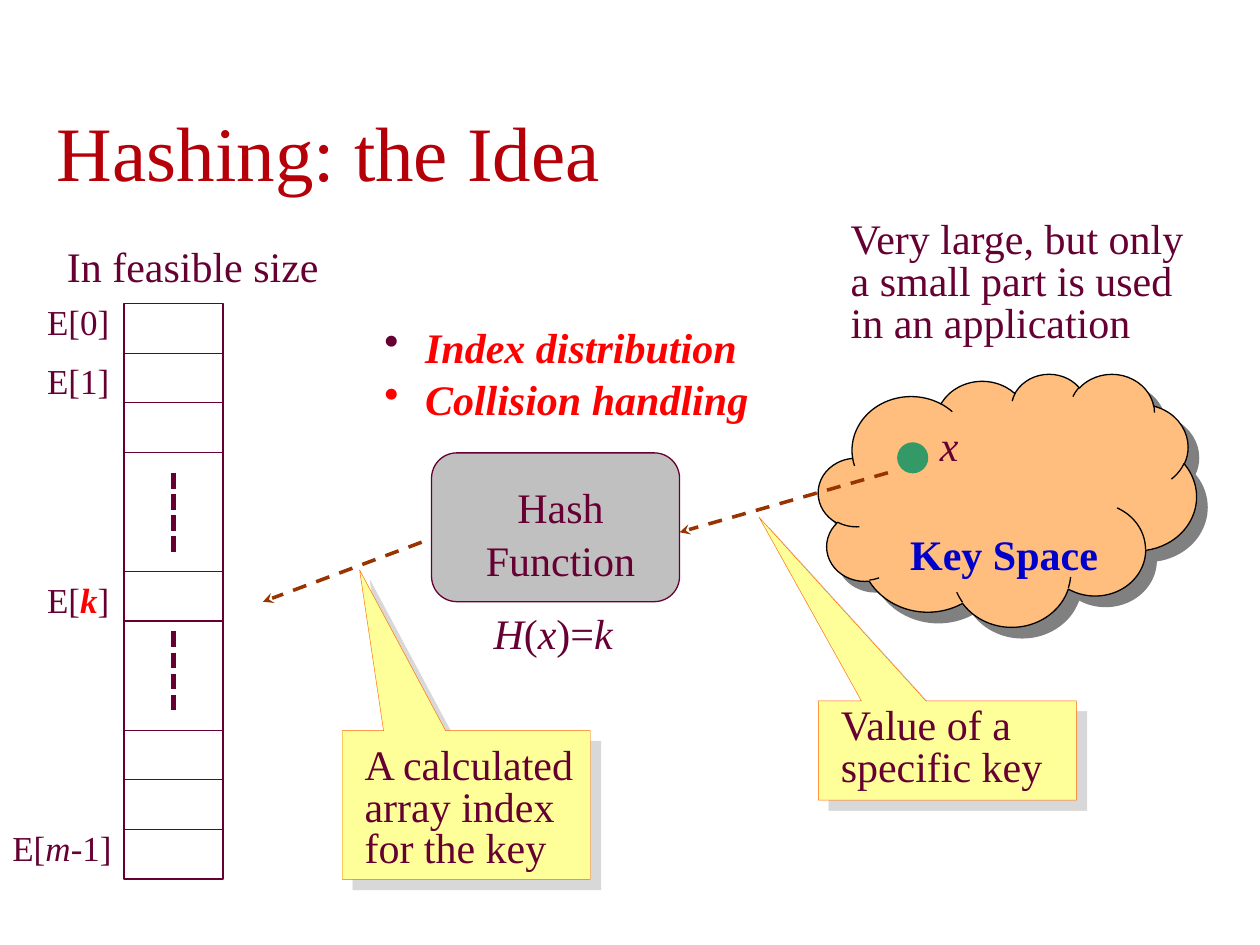
from itertools import accumulate

from lxml import etree
from pptx import Presentation
from pptx.dml.color import RGBColor
from pptx.enum.dml import MSO_LINE
from pptx.enum.shapes import MSO_CONNECTOR, MSO_SHAPE
from pptx.enum.text import MSO_ANCHOR, PP_ALIGN
from pptx.oxml.ns import qn
from pptx.util import Cm, Pt

STRAIGHT = MSO_CONNECTOR.STRAIGHT
DASH, DOTS = MSO_LINE.DASH, MSO_LINE.SQUARE_DOT
LEFT, CENTER = PP_ALIGN.LEFT, PP_ALIGN.CENTER
TOP, BOTTOM = MSO_ANCHOR.TOP, MSO_ANCHOR.BOTTOM
CALLOUT, CLOUD = MSO_SHAPE.RECTANGULAR_CALLOUT, MSO_SHAPE.CLOUD
RECT, ROUND, OVAL = MSO_SHAPE.RECTANGLE, MSO_SHAPE.ROUNDED_RECTANGLE, MSO_SHAPE.OVAL

FONT = "Times New Roman"
PLUM = RGBColor(0x66, 0x00, 0x33)
CRIMSON = RGBColor(0xB6, 0x00, 0x09)
RED = RGBColor(0xFF, 0x00, 0x00)
BLUE = RGBColor(0x00, 0x00, 0xCC)
BROWN = RGBColor(0x99, 0x33, 0x00)
GREEN = RGBColor(0x33, 0x99, 0x66)
GREY = RGBColor(0xC0, 0xC0, 0xC0)
YELLOW = RGBColor(0xFF, 0xFF, 0x99)
ORANGE = RGBColor(0xFF, 0x66, 0x00)
PEACH = RGBColor(0xFF, 0xBE, 0x7D)
BLACK = RGBColor(0x00, 0x00, 0x00)

prs = Presentation()
prs.slide_width, prs.slide_height = Cm(25.4), Cm(19.05)
s = prs.slides.add_slide(prs.slide_layouts[6])


def add_text(runs, box, size=24, color=PLUM, bold=False, italic=(), red=(),
             align=LEFT, anchor=TOP, spacing=1.0, bullets=()):
    tf = s.shapes.add_textbox(*map(Cm, box)).text_frame
    tf.word_wrap = True
    tf.vertical_anchor = anchor
    paragraphs = [[t] for t in runs] if bullets else [runs]
    for i, parts in enumerate(paragraphs):
        p = tf.add_paragraph() if i else tf.paragraphs[0]
        p.alignment, p.line_spacing = align, spacing
        if i:
            p.space_before = Pt(6)
        if bullets:
            pPr = p._p.get_or_add_pPr()
            pPr.set("marL", str(Cm(0.82)))
            pPr.set("indent", str(-Cm(0.82)))
            clr = etree.SubElement(pPr, qn("a:buClr"))
            etree.SubElement(clr, qn("a:srgbClr"), val=str(bullets[i]))
            etree.SubElement(pPr, qn("a:buChar"), char="•")
        for part in parts:
            r = p.add_run()
            r.text = part
            r.font.name, r.font.size = FONT, Pt(size)
            r.font.bold = bold or part in red
            r.font.italic = part in italic
            r.font.color.rgb = RED if part in red else color


def add_line(x1, y1, x2, y2, color=PLUM, width=0.75, dash=None, arrow=False):
    c = s.shapes.add_connector(STRAIGHT, Cm(x1), Cm(y1), Cm(x2), Cm(y2))
    c.line.color.rgb, c.line.width = color, Pt(width)
    if dash:
        c.line.dash_style = dash
    if arrow:
        etree.SubElement(c.line._get_or_add_ln(), qn("a:tailEnd"), type="stealth")
    etree.SubElement(c._element.spPr, qn("a:effectLst"))


X, TABLE_TOP, W = 2.5, 6.12, 2
ROWS = [1, 1, 1, 2.4, 1, 2.2, 1, 1, 1]

shapes = [
    (CALLOUT, (16.5, 14.13, 5.2, 2), YELLOW, ORANGE, 0.25, (-0.73, -2.35), ("B2B2B2", 50)),
    (CLOUD, (16.5, 7.53, 7.62, 5.1), PEACH, BLACK, 0.75, (), ("808080", 100)),
    (ROUND, (8.7, 9.13, 5, 3), GREY, PLUM, 0.75, (0.17,), None),
    (RECT, (X, TABLE_TOP, W, sum(ROWS)), None, PLUM, 1, (), None),
    (OVAL, (18.1, 8.93, 0.6, 0.6), GREEN, GREEN, 0.75, (), None),
    (CALLOUT, (6.9, 14.73, 5, 3), YELLOW, ORANGE, 0.25, (-0.43, -1.58), ("B2B2B2", 50)),
]
for kind, box, fill, line, width, adjustments, shadow in shapes:
    sp = s.shapes.add_shape(kind, *map(Cm, box))
    sp.shadow.inherit = False
    if fill:
        sp.fill.solid()
        sp.fill.fore_color.rgb = fill
    else:
        sp.fill.background()
    sp.line.color.rgb, sp.line.width = line, Pt(width)
    for i, value in enumerate(adjustments):
        sp.adjustments[i] = value
    if shadow:
        effects = sp._element.spPr.find(qn("a:effectLst"))
        outer = etree.SubElement(effects, qn("a:outerShdw"), dist=str(Pt(8.5)),
                                 dir="2700000", algn="ctr", rotWithShape="0")
        clr = etree.SubElement(outer, qn("a:srgbClr"), val=shadow[0])
        etree.SubElement(clr, qn("a:alpha"), val=str(shadow[1] * 1000))

for offset in list(accumulate(ROWS))[:-1]:
    add_line(X, TABLE_TOP + offset, X + W, TABLE_TOP + offset)
for y in (9.53, 12.73):
    add_line(X + W / 2, y, X + W / 2, y + 1.6, width=3, dash=DOTS)
for ends in ((17.9, 9.53, 13.7, 10.73), (8.5, 10.93, 5.3, 12.13)):
    add_line(*ends, color=BROWN, width=2, dash=DASH, arrow=True)

add_text(["Hashing: the Idea"], (0.9, 2, 24, 2.1), size=44, color=CRIMSON, anchor=BOTTOM)
add_text(["In feasible size"], (1.1, 4.73, 6.4, 1.27))
for x, y, runs in ((0.7, 5.93, ["E[0]"]), (0.7, 7.13, ["E[1]"]),
                   (0.7, 11.53, ["E[", "k", "]"]), (0, 16.53, ["E[", "m", "-1]"])):
    add_text(runs, (x, y, 3.1, 1.12), size=20, italic=("k", "m"), red=("k",))
notes = ["Index distribution", "Collision handling"]
add_text(notes, (7.5, 6.53, 8, 2.1), italic=notes, red=notes, spacing=0.83,
         bullets=(PLUM, RED))
add_text(["Hash Function"], (9.3, 9.53, 4, 2.28), align=CENTER, spacing=1.05)
add_text(["H", "(", "x", ")=", "k"], (9.7, 12.13, 5.6, 1.27), italic=("H", "x", "k"))
add_text(["x"], (18.7, 8.33, 1.4, 1.27), italic=("x",))
add_text(["Key Space"], (18.1, 10.53, 4.8, 1.27), color=BLUE, bold=True)
for caption, box in (
    ("Very large, but only a small part is used in an application", (16.9, 4.33, 7.4, 2.7)),
    ("Value of a specific key", (16.7, 14.13, 4.8, 1.88)),
    ("A calculated array index for the key", (7.1, 14.93, 5.2, 2.7)),
):
    add_text([caption], box, spacing=0.83)

prs.save("out.pptx")
